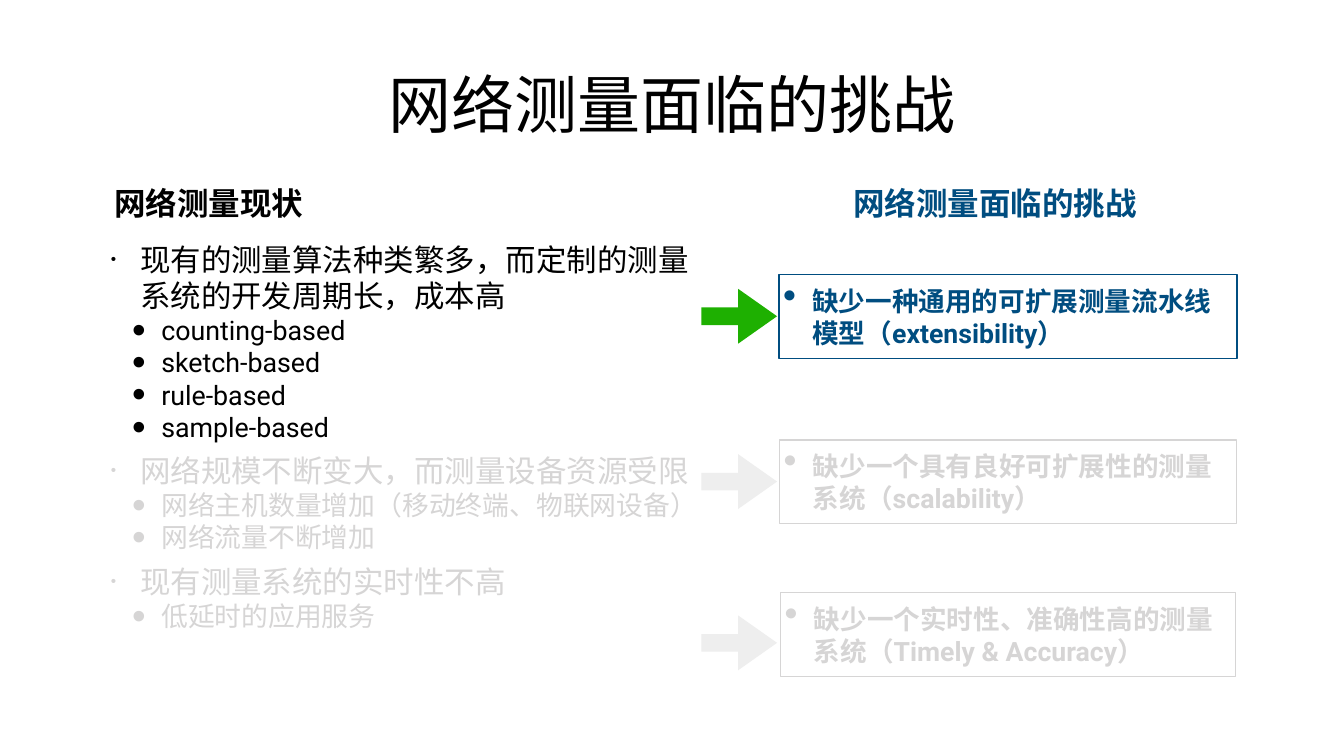
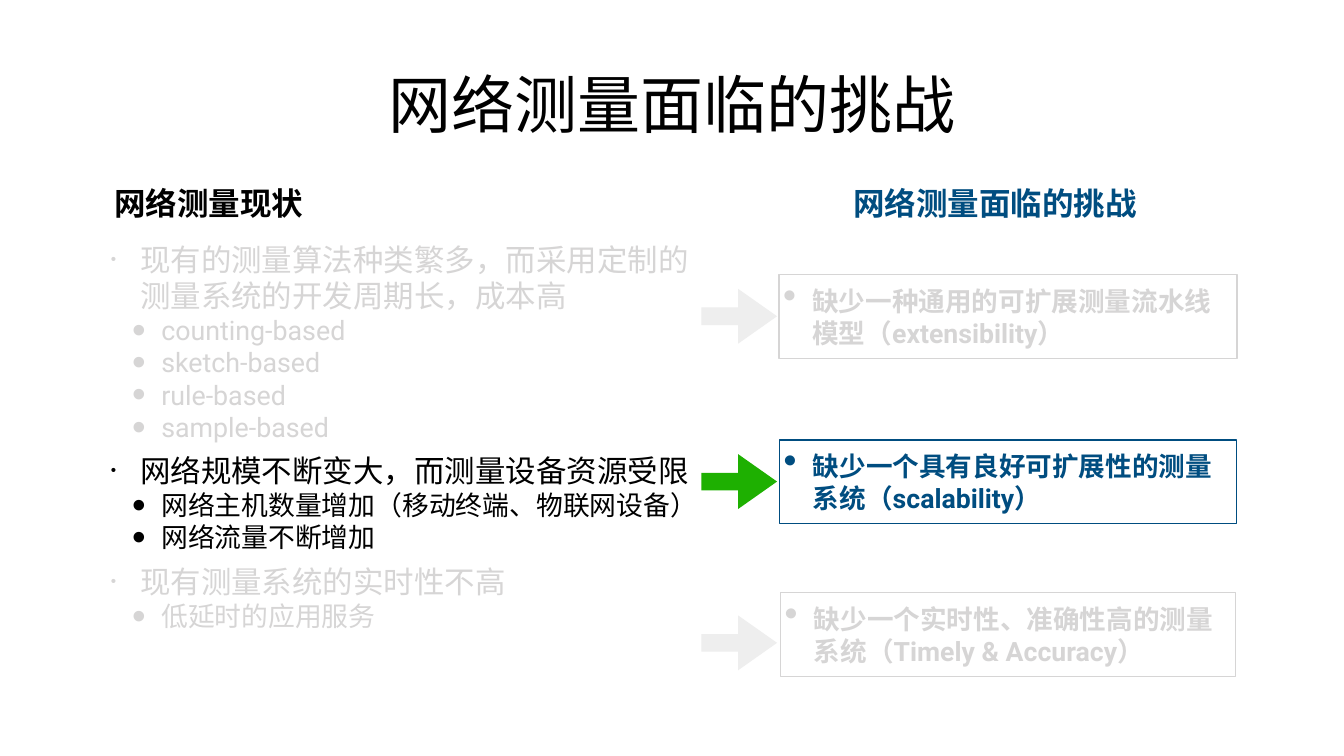
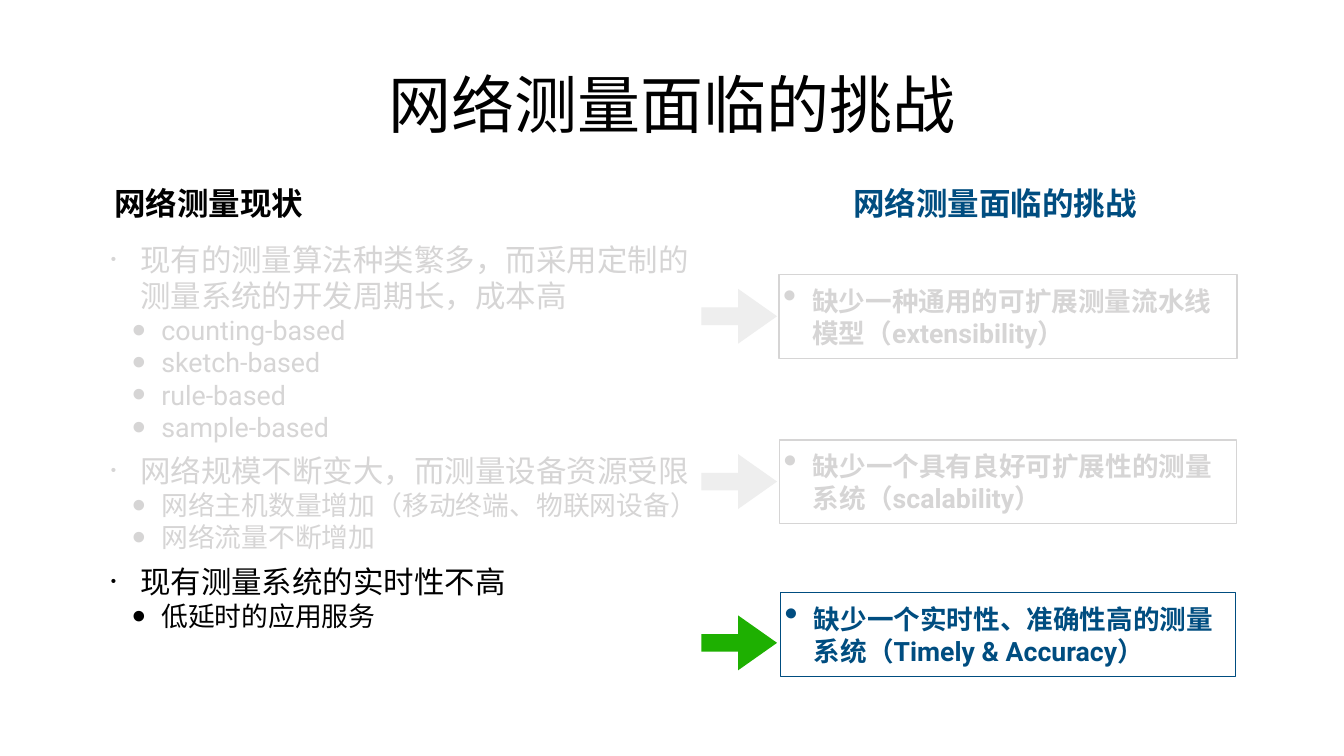
from lxml import etree
from pptx import Presentation, util as u
from pptx.dml.color import RGBColor
from pptx.enum import shapes, text
from pptx.oxml.ns import qn

FONT = "Roboto"
BLACK, NAVY, GREEN = "000000", "004D80", "1EB001"
PALE_TEXT, PALE_ARROW = "D6D5D5", "EEEEEE"
LEFT, CENTER = text.PP_ALIGN.LEFT, text.PP_ALIGN.CENTER
HANGING = 0.58

TITLE = "网络测量面临的挑战"
STATUS = "网络测量现状"
TOPICS = [
    ("现有的测量算法种类繁多，而采用定制的测量系统的开发周期长，成本高",
     ["counting-based", "sketch-based", "rule-based", "sample-based"]),
    ("网络规模不断变大，而测量设备资源受限",
     ["网络主机数量增加（移动终端、物联网设备）", "网络流量不断增加"]),
    ("现有测量系统的实时性不高", ["低延时的应用服务"]),
]
FIRST_TOPIC_ACTIVE = "现有的测量算法种类繁多，而定制的测量系统的开发周期长，成本高"
CHALLENGES = [
    ("缺少一种通用的可扩展测量流水线模型（extensibility）", (15.46, 5.45, 9.09, 1.66), 5.73),
    ("缺少一个具有良好可扩展性的测量系统（scalability）", (15.47, 8.73, 9.07, 1.66), 9.01),
    ("缺少一个实时性、准确性高的测量系统（Timely & Accuracy）", (15.49, 11.76, 9.03, 1.66), 12.21),
]


def rgb(value):
    return RGBColor.from_string(value)


class Painter:
    def __init__(self, deck):
        self.deck = deck
        self.page = None

    def new_page(self):
        self.page = self.deck.slides.add_slide(self.deck.slide_layouts[1])

    def place(self, shape, at):
        shape.left, shape.top, shape.width, shape.height = map(u.Inches, at)

    def prepare(self, shape, anchor=text.MSO_ANCHOR.MIDDLE):
        frame = shape.text_frame
        frame.word_wrap = True
        frame.auto_size = text.MSO_AUTO_SIZE.NONE
        frame.vertical_anchor = anchor
        frame.margin_left = frame.margin_right = u.Inches(0.08)
        frame.margin_top = frame.margin_bottom = u.Inches(0.08)
        return frame

    def bullet(self, para, indent, percent):
        props = para._p.get_or_add_pPr()
        props.set("marL", str(u.Inches(indent)))
        props.set("indent", str(-u.Inches(HANGING)))
        etree.SubElement(props, qn("a:buSzPct")).set("val", str(percent * 1000))
        etree.SubElement(props, qn("a:buChar")).set("char", "•")

    def fill_para(self, para, words, size, color, bold=False, align=LEFT, before=0, bullet=None):
        para.text = words
        para.alignment = align
        para.space_before = u.Pt(before)
        if bullet:
            self.bullet(para, *bullet)
        font = para.font
        font.name, font.size, font.bold = FONT, u.Pt(size), bold
        font.color.rgb = rgb(color)
        defaults = para._p.pPr.find(qn("a:defRPr"))
        etree.SubElement(defaults, qn("a:ea")).set("typeface", FONT)

    def title(self, words):
        shape = self.page.shapes.title
        self.place(shape, (4.8, 0.39, 17.07, 3.32))
        self.fill_para(self.prepare(shape).paragraphs[0], words, 90, BLACK, align=CENTER)

    def topics(self, active):
        shape = self.page.placeholders[1]
        self.place(shape, (2.12, 4.7, 12.02, 8.74))
        frame = self.prepare(shape, text.MSO_ANCHOR.TOP)
        for index, (topic, details) in enumerate(TOPICS):
            color = BLACK if index == active else PALE_TEXT
            if index == active == 0:
                topic = FIRST_TOPIC_ACTIVE
            para = frame.add_paragraph() if index else frame.paragraphs[0]
            self.fill_para(para, topic, 43.5, color, before=14 if index else 0,
                           bullet=(HANGING, 50))
            for detail in details:
                para = frame.add_paragraph()
                para.level = 1
                self.fill_para(para, detail, 38.3, color, bullet=(1, 145))

    def heading(self, words, left, color, align):
        box = self.page.shapes.add_textbox(*map(u.Inches, (left, 3.52, 8.82, 1.03)))
        self.fill_para(self.prepare(box).paragraphs[0], words, 45, color, True, align)

    def challenge(self, words, at, color):
        box = self.page.shapes.add_shape(shapes.MSO_SHAPE.RECTANGLE, *map(u.Inches, at))
        box.shadow.inherit = False
        box.fill.background()
        box.line.color.rgb = rgb(color)
        box.line.width = u.Pt(2)
        para = self.prepare(box).paragraphs[0]
        self.fill_para(para, words, 38, color, True, bullet=(HANGING, 145))

    def arrow(self, top, color):
        arrow = self.page.shapes.add_shape(
            shapes.MSO_SHAPE.RIGHT_ARROW, *map(u.Inches, (13.92, top, 1.5, 1.09)))
        arrow.shadow.inherit = False
        arrow.adjustments[0], arrow.adjustments[1] = 0.32, 0.71
        arrow.fill.solid()
        arrow.fill.fore_color.rgb = rgb(color)
        arrow.line.fill.background()


def main():
    deck = Presentation()
    deck.slide_width, deck.slide_height = u.Inches(26.67), u.Inches(15)
    painter = Painter(deck)
    for active in range(len(CHALLENGES)):
        painter.new_page()
        painter.title(TITLE)
        painter.topics(active)
        for index, (words, at, _) in enumerate(CHALLENGES):
            painter.challenge(words, at, NAVY if index == active else PALE_TEXT)
        painter.heading(TITLE, 15.33, NAVY, CENTER)
        painter.heading(STATUS, 2.19, BLACK, LEFT)
        for index, (_, _, top) in enumerate(CHALLENGES):
            painter.arrow(top, GREEN if index == active else PALE_ARROW)
    deck.save("out.pptx")


if __name__ == "__main__":
    main()
